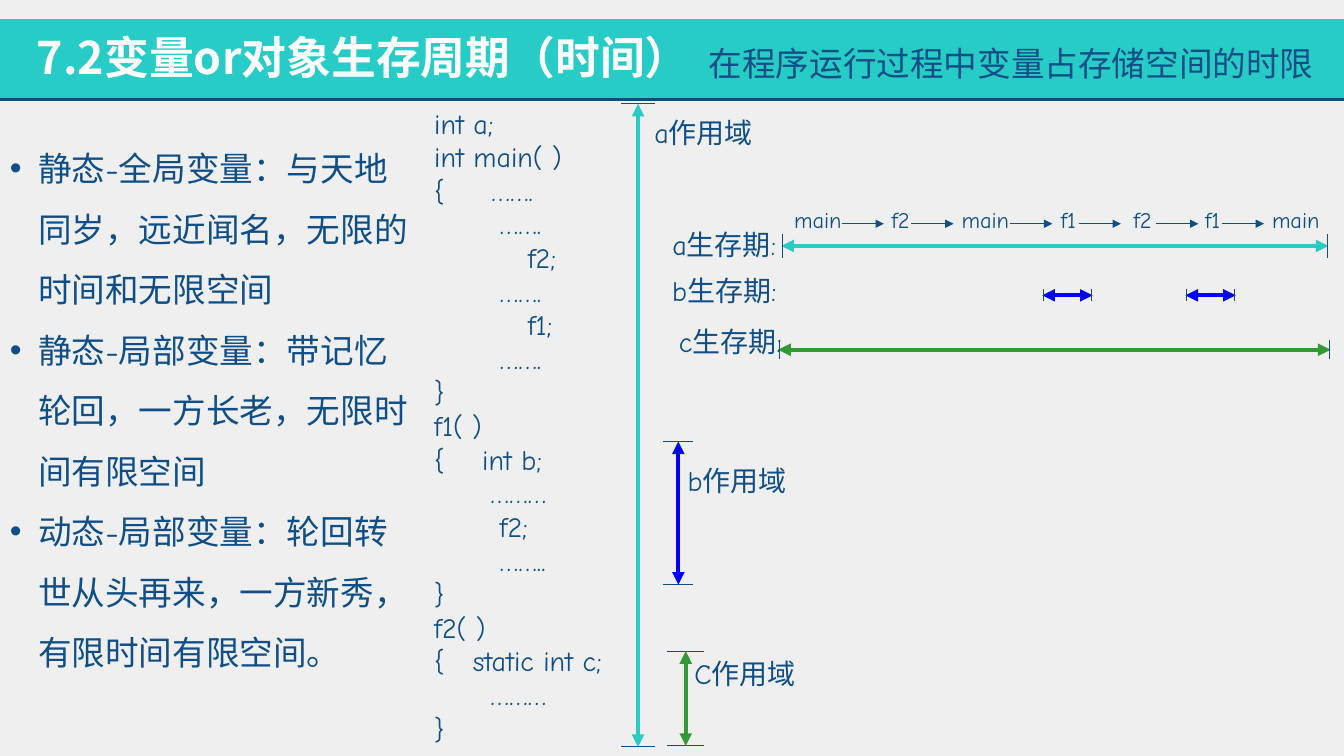
from dataclasses import dataclass

from lxml.etree import SubElement
from pptx import Presentation
from pptx.dml.color import RGBColor
from pptx.enum.shapes import MSO_CONNECTOR as Connector, MSO_SHAPE as Shape
from pptx.enum.text import MSO_ANCHOR as Anchor, PP_ALIGN as Align
from pptx.oxml.ns import qn
from pptx.util import Inches, Pt


@dataclass(frozen=True)
class Theme:
    """Colours, fonts, type sizes and line widths of the slide."""
    background: str = "EFEFEF"
    teal: str = "26CCC5"
    blue: str = "0000FF"
    green: str = "339933"
    rule: str = "104D7E"
    ink: str = "104E87"
    white: str = "FFFFFF"
    body_font: str = "Comic Neue"
    title_font: str = "Noto Sans CJK JP"
    title: int = 32
    body: int = 24
    code: int = 20
    small: int = 16
    thick: float = 3
    medium: float = 2
    thin: float = 0.75


@dataclass(frozen=True)
class Box:
    """A rectangle in cells of the 80 by 45 slide grid."""
    left: float
    top: float
    width: float
    height: float

    def inside(self, across, down, width, height):
        """Return a box offset from this one's top left corner."""
        return Box(self.left + across, self.top + down, width, height)

    def lengths(self):
        """Return the four lengths in slide units."""
        return [cells(n) for n in (self.left, self.top, self.width, self.height)]


THEME = Theme()
COLUMNS, ROWS, CELLS_PER_INCH = 80, 45, 6
CODE = """int a;
int main( )
{     …….
       …….
          f2;
       …….
          f1;
       …….
}
f1( )
{    int b;
      ………
       f2;
       ……..
}
f2( )
{   static int c;
      ………
}"""
LIFETIMES = [
    "静态-全局变量：与天地同岁，远近闻名，无限的时间和无限空间",
    "静态-局部变量：带记忆轮回，一方长老，无限时间有限空间",
    "动态-局部变量：轮回转世从头再来，一方新秀，有限时间有限空间。",
]


def cells(count):
    """Convert grid cells to slide units."""
    return Inches(count / CELLS_PER_INCH)


def add_text(slide, box, lines, size=THEME.code, color=THEME.ink, font=THEME.body_font,
             bold=False, align=Align.LEFT, anchor=Anchor.TOP, spacing=None, bullet=False):
    """Write lines as paragraphs in a text box."""
    frame = slide.shapes.add_textbox(*box.lengths()).text_frame
    frame.word_wrap = True
    frame.vertical_anchor = anchor
    for index, line in enumerate(lines):
        paragraph = frame.paragraphs[0] if index == 0 else frame.add_paragraph()
        paragraph.alignment = align
        paragraph.line_spacing = spacing
        if bullet:
            properties = paragraph._p.get_or_add_pPr()
            properties.set("marL", str(Inches(0.28)))
            properties.set("indent", str(-Inches(0.28)))
            SubElement(properties, qn("a:buFont")).set("typeface", "Arial")
            SubElement(properties, qn("a:buChar")).set("char", "•")
        run = paragraph.add_run()
        run.text = line
        run.font.size = Pt(size)
        run.font.bold = bold
        run.font.name = font
        run.font.color.rgb = RGBColor.from_string(color)
        SubElement(run._r.get_or_add_rPr(), qn("a:ea")).set("typeface", font)


def add_label(slide, box, text, size=THEME.code):
    """Write one centred label."""
    add_text(slide, box, [text], size, align=Align.CENTER, anchor=Anchor.MIDDLE)


def add_line(slide, start, end, color=THEME.ink, width=THEME.thin, ends=()):
    """Draw a straight line with arrowheads at the named ends."""
    points = [cells(value) for value in (*start, *end)]
    line = slide.shapes.add_connector(Connector.STRAIGHT, *points)
    line.line.color.rgb = RGBColor.from_string(color)
    line.line.width = Pt(width)
    for end_name in ends:
        SubElement(line.line._get_or_add_ln(), qn(f"a:{end_name}")).set("type", "triangle")
    SubElement(line._element.spPr, qn("a:effectLst"))


def add_span(slide, start, end, color):
    """Draw a thick line with an arrowhead at both ends."""
    add_line(slide, start, end, color, THEME.thick, ("headEnd", "tailEnd"))


def add_banner(slide, box):
    """Draw the title band with its title, remark and lower rule."""
    band = slide.shapes.add_shape(Shape.RECTANGLE, *box.lengths())
    band.shadow.inherit = False
    band.fill.solid()
    band.fill.fore_color.rgb = RGBColor.from_string(THEME.teal)
    band.line.fill.background()
    bottom = box.top + box.height
    add_line(slide, (box.left, bottom), (box.left + box.width, bottom),
             THEME.rule, THEME.medium)
    add_text(slide, box.inside(1.6, 0.36, 52.7, 3.85), ["7.2变量or对象生存周期（时间）"],
             THEME.title, THEME.white, THEME.title_font, bold=True)
    add_text(slide, box.inside(41.6, 0.66, 38.4, 3.4),
             ["在程序运行过程中变量占存储空间的时限"], THEME.body, spacing=1.2)


def add_scope(slide, box, name, color, across, down):
    """Draw a vertical extent between two ticks with its label."""
    right, bottom = box.left + box.width, box.top + box.height
    middle = box.left + box.width / 2
    for level in (box.top, bottom):
        add_line(slide, (box.left, level), (right, level))
    add_span(slide, (middle, box.top), (middle, bottom), color)
    add_label(slide, box.inside(across, down, 7.25, 2.65), f"{name}作用域")


def add_lifetime(slide, box, name, color, label_width, axis, spans, tick):
    """Draw a label and its horizontal spans between ticks."""
    add_label(slide, box.inside(0, 0, label_width, box.height), f"{name}生存期:")
    level = box.top + axis
    for start, end in spans:
        left, right = box.left + start, box.left + end
        add_span(slide, (left, level), (right, level), color)
        for edge in (left + 0.06, right - 0.06):
            add_line(slide, (edge, level - tick), (edge, level + tick))


def add_call_trace(slide, box):
    """Draw the order of function calls joined by arrows."""
    calls = ["main", "f2", "main", "f1", "f2", "f1", "main"]
    centers = [2, 6.93, 11.97, 16.92, 21.33, 25.5, 30.45]
    label_width = 5
    for call, center in zip(calls, centers):
        label_box = box.inside(center - label_width / 2, 0, label_width, box.height)
        add_label(slide, label_box, call, THEME.small)
    level = box.top + 1.38
    for start in (3.42, 7.56, 13.44, 17.52, 22.14, 26.04):
        left = box.left + start
        add_line(slide, (left, level), (left + 2.52, level), ends=("tailEnd",))


def build_slide(presentation):
    """Compose the slide on variable lifetimes."""
    slide = presentation.slides.add_slide(presentation.slide_layouts[6])
    slide.background.fill.solid()
    slide.background.fill.fore_color.rgb = RGBColor.from_string(THEME.background)
    add_banner(slide, Box(0, 1.14, COLUMNS, 4.8))
    add_text(slide, Box(0, 7.32, 24.9, 33), LIFETIMES, THEME.body, spacing=1.5, bullet=True)
    add_text(slide, Box(25.26, 5.82, 12.5, 39), CODE.split("\n"), anchor=Anchor.MIDDLE)
    add_scope(slide, Box(36.96, 6.18, 2.04, 38.28), "a", THEME.teal, 1.3, 0.36)
    add_scope(slide, Box(39.48, 26.28, 1.8, 8.52), "b", THEME.blue, 0.78, 0.96)
    add_scope(slide, Box(39.72, 38.76, 2.2, 5.64), "C", THEME.green, 1, 0)
    add_call_trace(slide, Box(46.68, 11.94, 32.46, 2.22))
    add_lifetime(slide, Box(39.3, 13.26, 40, 2.58), "a", THEME.teal, 7.62, 1.38,
                 [(7.2, 39.78)], 0.7)
    add_lifetime(slide, Box(39.24, 15.96, 40, 2.64), "b", THEME.blue, 7.74, 1.62,
                 [(22.8, 25.8), (31.32, 34.32)], 0.35)
    add_lifetime(slide, Box(39.42, 19.38, 40, 1.92), "c", THEME.green, 8.1, 1.44,
                 [(6.9, 39.78)], 0.55)


def main():
    """Create and save the presentation."""
    presentation = Presentation()
    presentation.slide_width = cells(COLUMNS)
    presentation.slide_height = cells(ROWS)
    build_slide(presentation)
    presentation.save("out.pptx")


if __name__ == "__main__":
    main()
